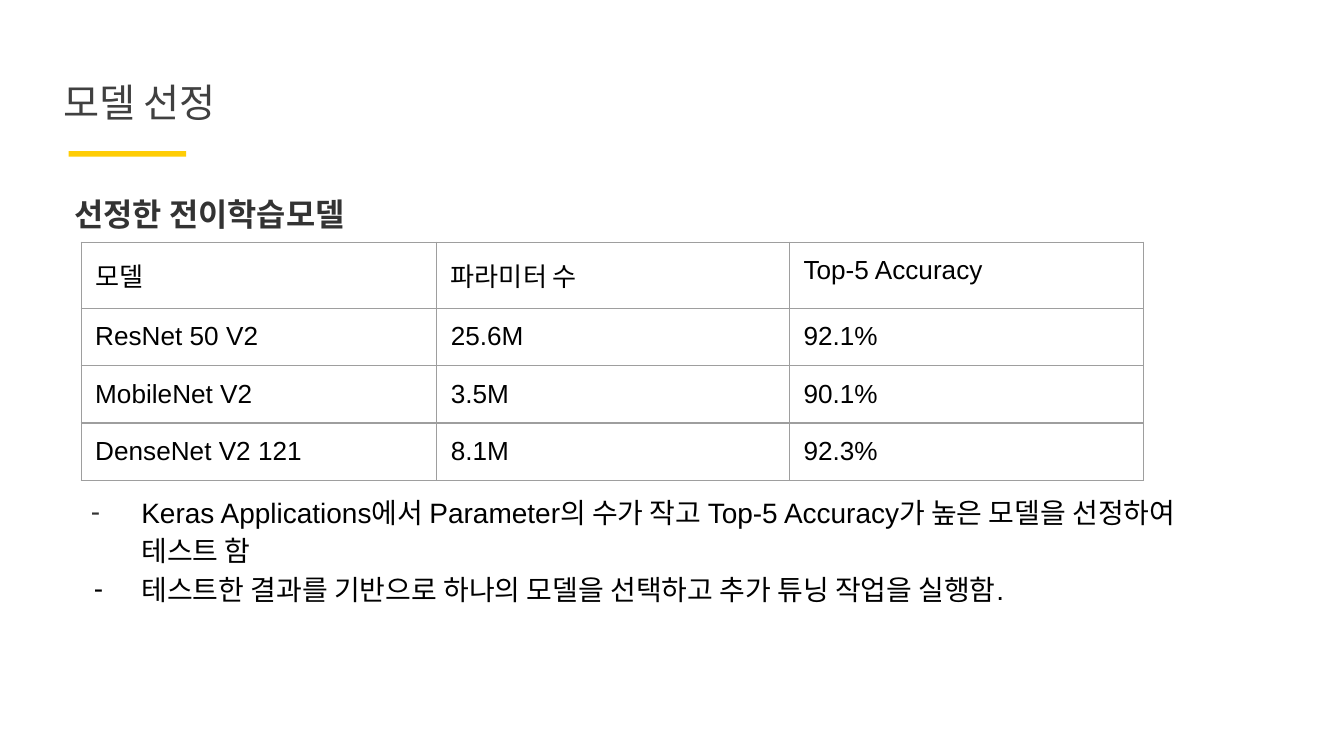
from dataclasses import dataclass

import pptx
import pptx.dml.color
import pptx.enum.shapes
import pptx.enum.text
import pptx.oxml
import pptx.oxml.ns
import pptx.util

RGBColor = pptx.dml.color.RGBColor
BLACK = RGBColor(0x00, 0x00, 0x00)
DARK = RGBColor(0x33, 0x33, 0x33)
TITLE_GRAY = RGBColor(0x40, 0x40, 0x40)
BORDER_GRAY = RGBColor(0x9E, 0x9E, 0x9E)
YELLOW = RGBColor(0xFF, 0xCD, 0x05)

PX = 9525  # EMU in one px, 96 px to the inch
BOX_INSET = 4
CELL_INSET = 10
ROW_HEIGHT = 41
COLUMN_WIDTHS = (254, 252, 253)
NAMESPACE = pptx.oxml.ns.nsdecls("a")


@dataclass(frozen=True)
class Area:
    left: int
    top: int
    width: int
    height: int

    def emu(self) -> tuple[int, ...]:
        return tuple(n * PX for n in (self.left, self.top, self.width, self.height))


@dataclass(frozen=True)
class Style:
    size: int
    color: RGBColor
    font: str = "Arial"
    bold: bool = False


@dataclass(frozen=True)
class Line:
    text: str
    style: Style
    space_before: int = 0
    margin: int = 0
    hanging: int = 0
    bullet_color: RGBColor | None = None


TITLE_STYLE = Style(21, TITLE_GRAY)
HEADING_STYLE = Style(17, DARK, "Roboto", True)
BULLET_STYLE = Style(15, BLACK)
CELL_STYLE = Style(14, BLACK)

BODY_LINES = (
    Line("선정한 전이학습모델", HEADING_STYLE),
    # The space before the first bullet leaves room for the table
    Line("Keras Applications에서 Parameter의 수가 작고 Top-5 Accuracy가 높은 모델을 선정하여 테스트 함",
         BULLET_STYLE, 138, 48, 36, DARK),
    Line("테스트한 결과를 기반으로 하나의 모델을 선택하고 추가 튜닝 작업을 실행함.",
         BULLET_STYLE, 0, 48, 34, BLACK),
)

MODEL_ROWS = (
    ("모델", "파라미터 수", "Top-5 Accuracy"),
    ("ResNet 50 V2", "25.6M", "92.1%"),
    ("MobileNet V2", "3.5M", "90.1%"),
    ("DenseNet V2 121", "8.1M", "92.3%"),
)


def write(para, text: str, style: Style) -> None:
    para.text = text
    para.alignment = pptx.enum.text.PP_ALIGN.LEFT
    for span in para.runs:
        span.font.name = style.font
        span.font.size = pptx.util.Pt(style.size)
        span.font.bold = style.bold
        span.font.color.rgb = style.color


def place(box, area: Area, anchor) -> None:
    box.left, box.top, box.width, box.height = area.emu()
    frame = box.text_frame
    frame.word_wrap = True
    frame.auto_size = pptx.enum.text.MSO_AUTO_SIZE.NONE
    frame.vertical_anchor = anchor
    frame.margin_left = frame.margin_right = BOX_INSET * PX
    frame.margin_top = frame.margin_bottom = BOX_INSET * PX


def write_line(para, line: Line) -> None:
    write(para, line.text, line.style)
    para.line_spacing = 1.15
    para.space_before = pptx.util.Pt(line.space_before)
    properties = para._p.get_or_add_pPr()
    properties.set("marL", str(line.margin * PX))
    properties.set("indent", str(-line.hanging * PX))
    if line.bullet_color is None:
        marks = [f"<a:buNone {NAMESPACE}/>"]
    else:
        marks = [f'<a:buClr {NAMESPACE}><a:srgbClr val="{line.bullet_color}"/></a:buClr>',
                 f'<a:buChar {NAMESPACE} char="-"/>']
    for mark in marks:
        properties.append(pptx.oxml.parse_xml(mark))


def border_cell(cell) -> None:
    properties = cell._tc.get_or_add_tcPr()
    for index, side in enumerate(("lnL", "lnR", "lnT", "lnB")):
        properties.insert(index, pptx.oxml.parse_xml(
            f'<a:{side} {NAMESPACE} w="{PX}"><a:solidFill>'
            f'<a:srgbClr val="{BORDER_GRAY}"/></a:solidFill></a:{side}>'))


def add_model_table(slide, left: int, top: int) -> None:
    area = Area(left, top, sum(COLUMN_WIDTHS), ROW_HEIGHT * len(MODEL_ROWS))
    table = slide.shapes.add_table(len(MODEL_ROWS), len(COLUMN_WIDTHS), *area.emu()).table
    table.first_row = table.horz_banding = False
    for column, width in zip(table.columns, COLUMN_WIDTHS):
        column.width = width * PX
    for row, values in zip(table.rows, MODEL_ROWS):
        row.height = ROW_HEIGHT * PX
        for cell, value in zip(row.cells, values):
            cell.fill.background()
            border_cell(cell)
            cell.margin_left = cell.margin_right = CELL_INSET * PX
            cell.margin_top = cell.margin_bottom = CELL_INSET * PX
            write(cell.text_frame.paragraphs[0], value, CELL_STYLE)


def main() -> None:
    deck = pptx.Presentation()
    deck.slide_width, deck.slide_height = 960 * PX, 540 * PX
    slide = deck.slides.add_slide(deck.slide_layouts[1])

    # Heading and bullets
    body = slide.placeholders[1]
    place(body, Area(49, 131, 804, 340), pptx.enum.text.MSO_ANCHOR.TOP)
    for index, line in enumerate(BODY_LINES):
        frame = body.text_frame
        write_line(frame.add_paragraph() if index else frame.paragraphs[0], line)

    # Accent bar under the title
    bar = slide.shapes.add_shape(pptx.enum.shapes.MSO_SHAPE.RECTANGLE,
                                 *Area(49, 108, 84, 4).emu())
    bar.shadow.inherit = False
    bar.fill.solid()
    bar.fill.fore_color.rgb = YELLOW
    bar.line.fill.background()

    # Title
    title = slide.shapes.title
    place(title, Area(41, 47, 567, 56), pptx.enum.text.MSO_ANCHOR.MIDDLE)
    title_para = title.text_frame.paragraphs[0]
    write(title_para, "모델 선정", TITLE_STYLE)
    title_para.line_spacing = 0.9

    # Model comparison
    add_model_table(slide, 58, 173)

    deck.save("out.pptx")


if __name__ == "__main__":
    main()
